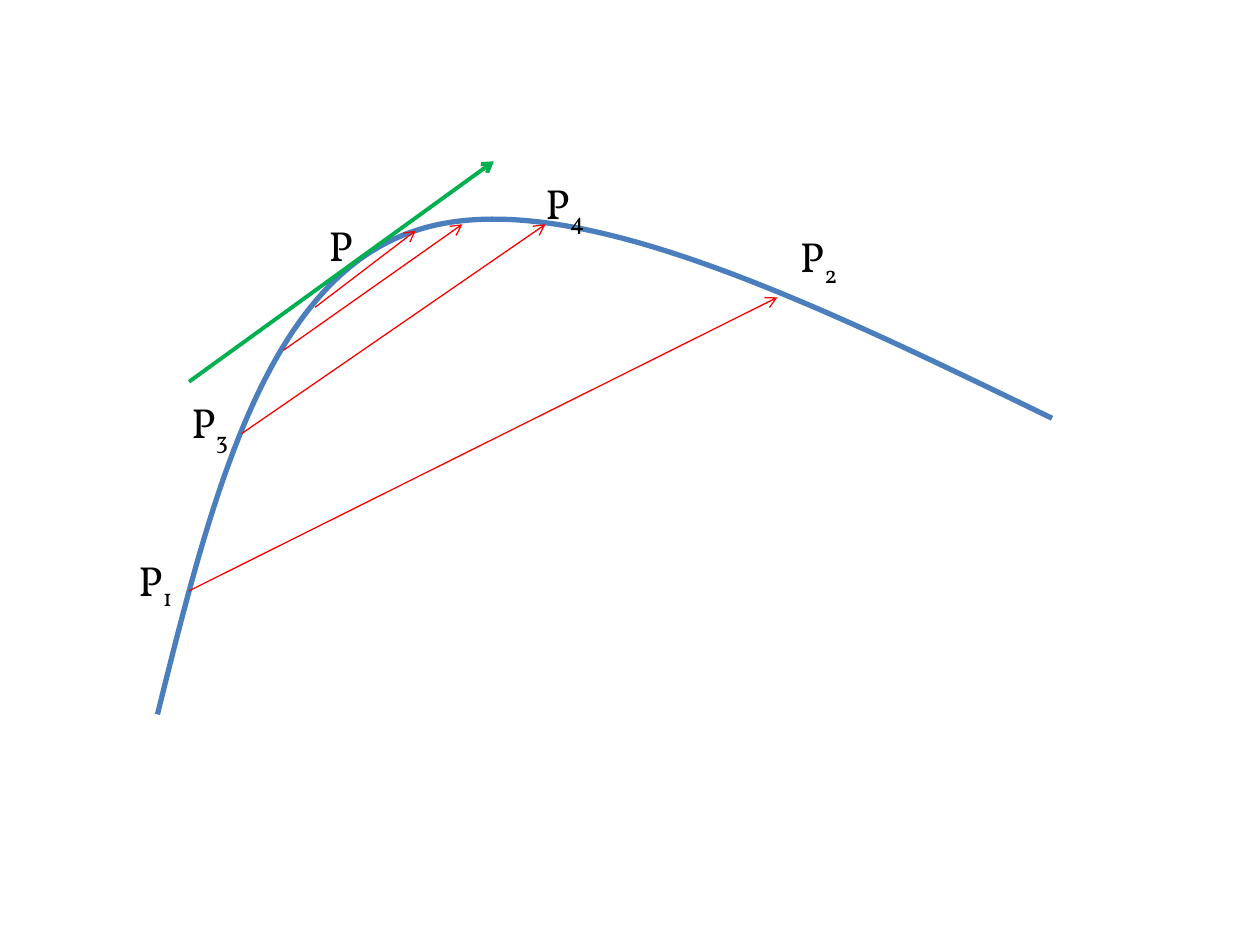
from dataclasses import dataclass

from lxml import etree
from pptx import Presentation
from pptx import util as u
from pptx.dml.color import RGBColor
from pptx.enum import shapes, text
from pptx.oxml.ns import qn

WIDTH, HEIGHT = u.Inches(10), u.Inches(7.5)
BLUE, RED, GREEN, BLACK = "4B7EBC", "FF0000", "00B050", "000000"
Point = tuple[float, float]  # percent of slide width, percent of slide height


@dataclass(frozen=True)
class Vector:
    tail: Point
    tip: Point
    color: str = RED
    weight: float = 0.75


@dataclass(frozen=True)
class PointLabel:
    corner: Point
    index: str = ""


CURVE = [(12.5, 75.6), (16.8, 52.53), (21.1, 29.6), (33, 24.4),
         (44.8, 19.2), (64.1, 31.73), (83.5, 44.27)]
CHORDS_AND_TANGENT = [
    Vector((19.2, 45.87), (43.3, 23.73)),
    Vector((15, 62.53), (61.7, 31.47)),
    Vector((15, 40.4), (39.2, 17.07), GREEN, 2.25),
    Vector((22.5, 37.07), (36.7, 23.73)),
    Vector((25, 32.53), (33, 24.4)),
]
LABELS = [
    PointLabel((25.1, 22.53)),
    PointLabel((14.2, 41.33), "3"),
    PointLabel((10, 58), "1"),
    PointLabel((62.5, 23.73), "2"),
    PointLabel((42.3, 18.13), "4"),
]


def place(point: Point) -> tuple[int, int]:
    """Turn shares of the slide into EMU."""
    return round(WIDTH * point[0] / 100), round(HEIGHT * point[1] / 100)


def rgb(color: str) -> RGBColor:
    return RGBColor.from_string(color)


def draw_curve(group, points: list[Point]) -> None:
    """Draw Bézier segments: a start, then two controls and an end for each."""
    start, *rest = map(place, points)
    builder = group.shapes.build_freeform(*start)
    builder.add_line_segments(rest, close=False)
    curve = builder.convert_to_shape()
    curve.shadow.inherit = False
    curve.fill.background()
    curve.line.color.rgb = rgb(BLUE)
    curve.line.width = u.Pt(3)

    outline = curve._element.find(".//" + qn("a:path"))
    steps = outline.findall(qn("a:lnTo"))
    for first in range(0, len(steps), 3):
        segment = etree.SubElement(outline, qn("a:cubicBezTo"))
        for step in steps[first:first + 3]:
            segment.append(step[0])
            outline.remove(step)


def draw_vector(group, vector: Vector) -> None:
    arrow = group.shapes.add_connector(
        shapes.MSO_CONNECTOR.STRAIGHT, *place(vector.tail), *place(vector.tip))
    arrow.line.color.rgb = rgb(vector.color)
    arrow.line.width = u.Pt(vector.weight)
    etree.SubElement(arrow.line._get_or_add_ln(), qn("a:tailEnd"), type="arrow")
    etree.SubElement(arrow._element.spPr, qn("a:effectLst"))


def draw_label(group, label: PointLabel) -> None:
    size = place((5.2 if label.index else 4.1, 6.67))
    frame = group.shapes.add_textbox(*place(label.corner), *size).text_frame
    frame.word_wrap = False
    frame.auto_size = text.MSO_AUTO_SIZE.SHAPE_TO_FIT_TEXT
    for part in filter(None, ("P", label.index)):
        run = frame.paragraphs[0].add_run()
        run.text = part
        run.font.name = "Vollkorn"
        run.font.size = u.Pt(24)
        run.font.color.rgb = rgb(BLACK)
        if part == label.index:
            run.font._element.set("baseline", "-25000")


def main() -> None:
    deck = Presentation()
    deck.slide_width, deck.slide_height = WIDTH, HEIGHT
    slide = deck.slides.add_slide(deck.slide_layouts[6])
    diagram = slide.shapes.add_group_shape()
    draw_curve(diagram, CURVE)
    for vector in CHORDS_AND_TANGENT:
        draw_vector(diagram, vector)
    for label in LABELS:
        draw_label(diagram, label)
    deck.save("out.pptx")


if __name__ == "__main__":
    main()
